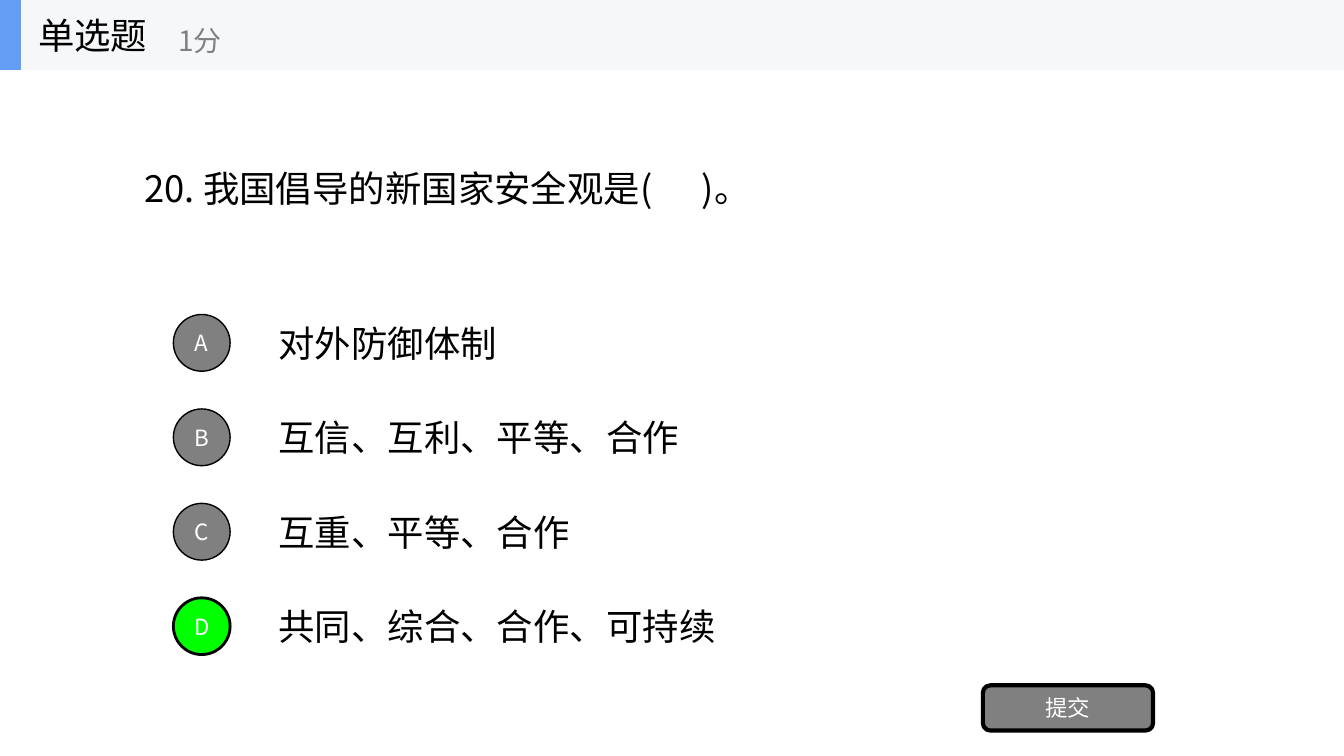
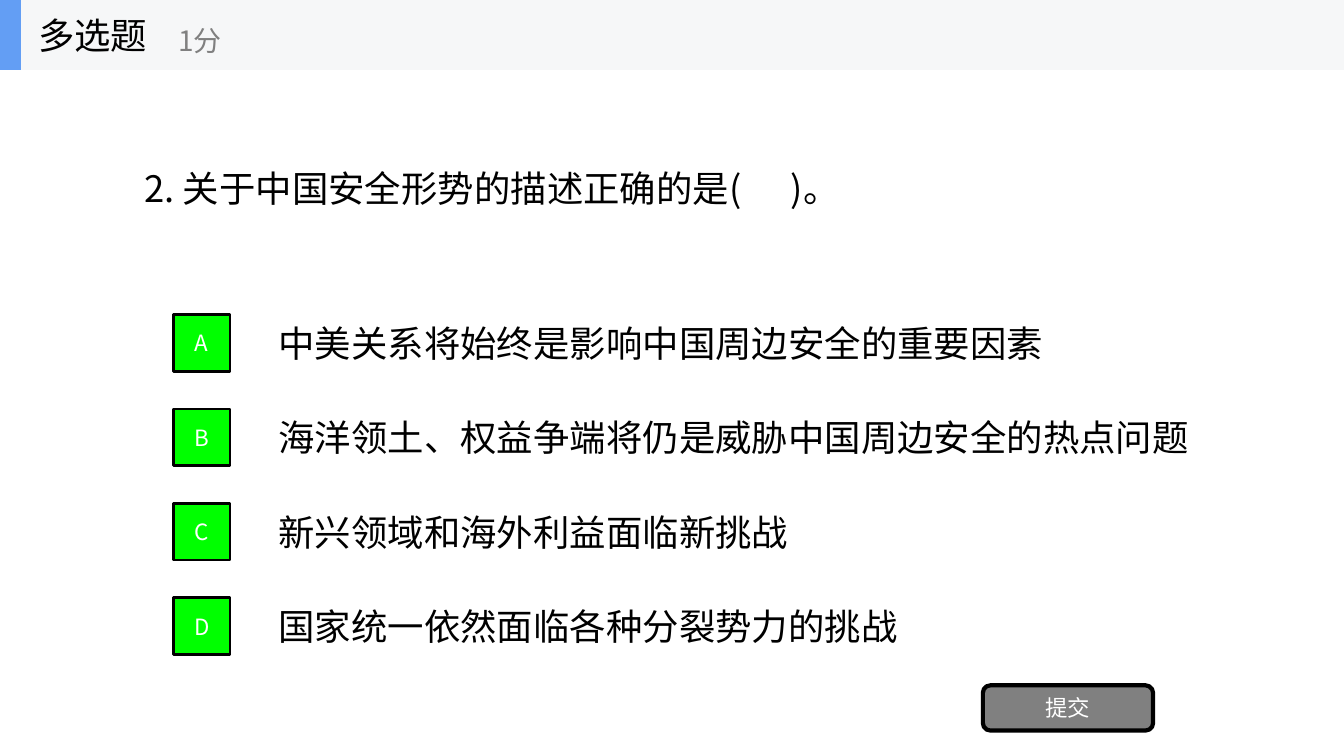
from lxml.etree import SubElement
from pptx import Presentation
from pptx.dml.color import RGBColor
from pptx.enum.shapes import MSO_SHAPE
from pptx.enum.text import MSO_ANCHOR, PP_ALIGN
from pptx.oxml.ns import qn
from pptx.util import Cm, Pt

# Content
QUESTIONS = [
    {
        "kind": "单选题",
        "question": "20. 我国倡导的新国家安全观是(      )。",
        "question_width": 16.54,
        "options": ["对外防御体制", "互信、互利、平等、合作",
                    "互重、平等、合作", "共同、综合、合作、可持续"],
        "answers": "D",
        "badge": MSO_SHAPE.OVAL,
    },
    {
        "kind": "多选题",
        "question": "2. 关于中国安全形势的描述正确的是(      )。",
        "question_width": 18.75,
        "options": ["中美关系将始终是影响中国周边安全的重要因素",
                    "海洋领土、权益争端将仍是威胁中国周边安全的热点问题",
                    "新兴领域和海外利益面临新挑战",
                    "国家统一依然面临各种分裂势力的挑战"],
        "answers": "ABCD",
        "badge": MSO_SHAPE.RECTANGLE,
    },
]
SCORE = "1分"
SUBMIT = "提交"

# Shared style, lengths in cm
FONT = "Noto Sans CJK SC"
BLACK, WHITE, GRAY = "000000", "FFFFFF", "808080"
BAND, ACCENT, CORRECT = "F6F7F8", "639EF4", "00FF00"
BODY_SIZE, SCORE_SIZE, BADGE_SIZE = 26, 20, 16
SLIDE_WIDTH, SLIDE_HEIGHT = 33.87, 19.05
BAND_HEIGHT = 1.76
LINE_HEIGHT = 1.35
CHAR_WIDTH, OPTION_PADDING = 0.92, 0.74
FIRST_ROW_CENTER, ROW_PITCH = 8.64, 2.38
BADGE_LEFT, BADGE_SIDE, OPTION_LEFT = 4.37, 1.43, 6.77


def color(hex_string):
    return RGBColor.from_string(hex_string)


def write(shape, text, size, text_color, align=PP_ALIGN.LEFT):
    frame = shape.text_frame
    frame.word_wrap = True
    frame.vertical_anchor = MSO_ANCHOR.MIDDLE
    paragraph = frame.paragraphs[0]
    paragraph.text = text
    paragraph.alignment = align
    font = paragraph.font
    font.size = Pt(size)
    font.color.rgb = color(text_color)
    font.name = FONT
    # East Asian characters take their own typeface entry
    defaults = paragraph._p.pPr.find(qn("a:defRPr"))
    SubElement(defaults, qn("a:ea")).set("typeface", FONT)


def add_text(shapes, box, text, size=BODY_SIZE, text_color=BLACK):
    write(shapes.add_textbox(*map(Cm, box)), text, size, text_color)


def add_block(shapes, preset, box, fill, line_width=0, label=None):
    block = shapes.add_shape(preset, *map(Cm, box))
    block.shadow.inherit = False
    block.fill.solid()
    block.fill.fore_color.rgb = color(fill)
    if line_width:
        block.line.color.rgb = color(BLACK)
        block.line.width = Pt(line_width)
    else:
        block.line.fill.background()
    if label:
        frame = block.text_frame
        frame.margin_left = frame.margin_right = 0
        write(block, label, BADGE_SIZE, WHITE, PP_ALIGN.CENTER)


def add_header(slide, kind):
    header = slide.shapes.add_group_shape().shapes
    add_block(header, MSO_SHAPE.RECTANGLE, (0, 0, SLIDE_WIDTH, BAND_HEIGHT), BAND)
    add_block(header, MSO_SHAPE.RECTANGLE, (0, 0, 0.53, BAND_HEIGHT), ACCENT)
    add_text(header, (0.71, 0, 5.28, BAND_HEIGHT), kind)
    add_text(header, (4.24, 0.3, 6.35, 1.42), SCORE, SCORE_SIZE, GRAY)


def add_options(shapes, item):
    for row, option in enumerate(item["options"]):
        letter = "ABCD"[row]
        center = FIRST_ROW_CENTER + row * ROW_PITCH
        width = len(option) * CHAR_WIDTH + OPTION_PADDING
        add_text(shapes, (OPTION_LEFT, center - LINE_HEIGHT / 2, width, LINE_HEIGHT), option)
        fill, line_width = (CORRECT, 2) if letter in item["answers"] else (GRAY, 1)
        badge_box = (BADGE_LEFT, center - BADGE_SIDE / 2, BADGE_SIDE, BADGE_SIDE)
        add_block(shapes, item["badge"], badge_box, fill, line_width, letter)


def main():
    deck = Presentation()
    deck.slide_width, deck.slide_height = Cm(SLIDE_WIDTH), Cm(SLIDE_HEIGHT)
    for item in QUESTIONS:
        slide = deck.slides.add_slide(deck.slide_layouts[6])
        add_header(slide, item["kind"])
        question_box = (3.39, 4.06, item["question_width"], LINE_HEIGHT)
        add_text(slide.shapes, question_box, item["question"])
        add_options(slide.shapes, item)
        add_block(slide.shapes, MSO_SHAPE.ROUNDED_RECTANGLE,
                  (24.77, 17.27, 4.29, 1.14), GRAY, 3, SUBMIT)
    deck.save("out.pptx")


if __name__ == "__main__":
    main()
